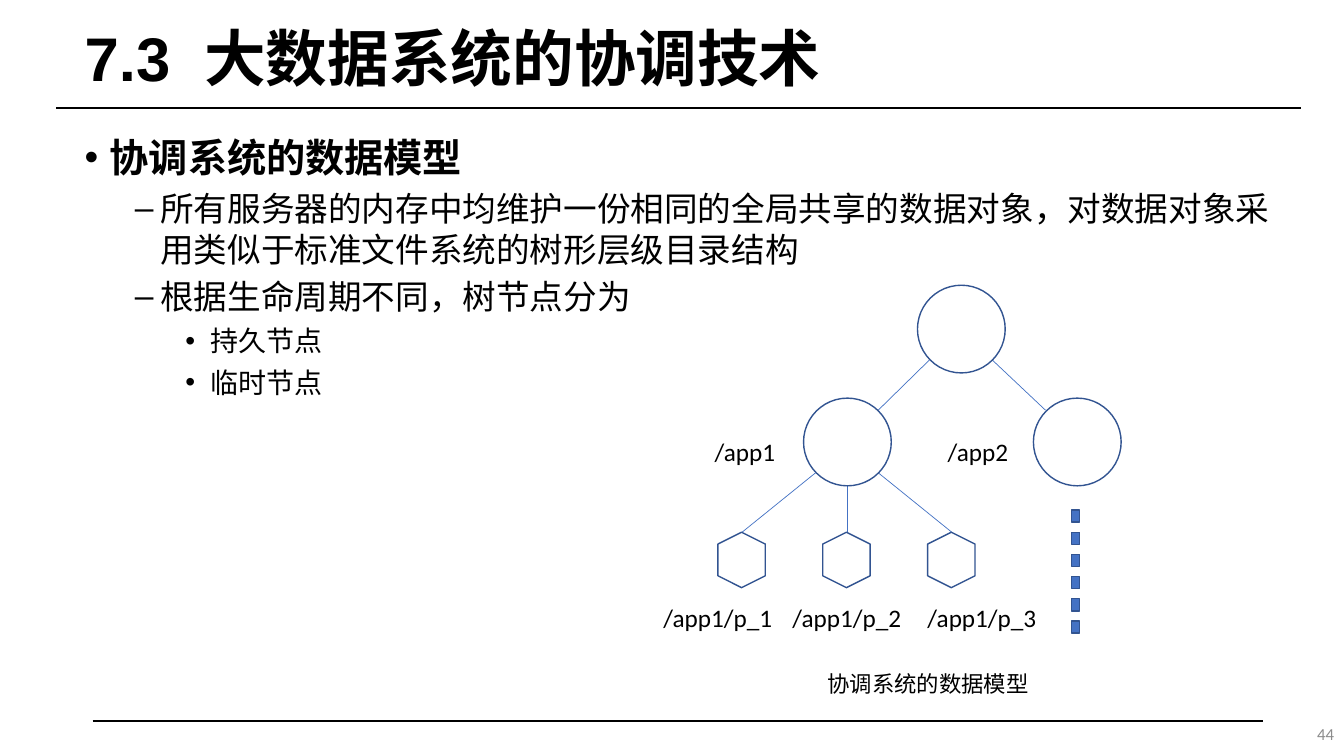
from lxml import etree
from pptx import Presentation
from pptx import util as u
from pptx.dml.color import RGBColor
from pptx.enum import shapes, text
from pptx.oxml.ns import qn

PX = 9144  # 100 px to the inch
COLORS = {"black": "000000", "blue": "4472C4", "edge": "325491", "grey": "8C8C8C"}
CJK = "Noto Sans CJK SC"


def write(p, words, size, font="Calibri", color="black", bold=False, leading=None, gap=None):
    r = p.add_run()
    r.text = words
    r.font.size, r.font.bold = u.Pt(size), bold
    r.font.color.rgb = RGBColor.from_string(COLORS[color])
    r.font.name = font
    rPr = r._r.get_or_add_rPr()
    etree.SubElement(rPr, qn("a:ea")).set("typeface", CJK)
    if gap:
        rPr.set("spc", str(gap * 100))
    if leading:
        p.line_spacing = u.Pt(leading)


def line(x1, y1, x2, y2, color, width):
    c = s.shapes.add_connector(shapes.MSO_CONNECTOR.STRAIGHT, *(v * PX for v in (x1, y1, x2, y2)))
    c.line.color.rgb = RGBColor.from_string(COLORS[color])
    c.line.width = u.Pt(width)
    etree.SubElement(c._element.spPr, qn("a:effectLst"))


prs = Presentation()
prs.slide_width, prs.slide_height = 1333 * PX, 750 * PX
s = prs.slides.add_slide(prs.slide_layouts[5])

# Rules above and below the content
line(56, 107, 1290, 107, "black", 1.75)
line(92, 715, 1253, 715, "black", 1.25)

# Title
sp = s.shapes.title
sp.left, sp.top, sp.width, sp.height = 74 * PX, 15 * PX, 1195 * PX, 92 * PX
tf = sp.text_frame
tf.auto_size = text.MSO_AUTO_SIZE.NONE
tf.vertical_anchor = text.MSO_ANCHOR.MIDDLE
p = tf.paragraphs[0]
p.alignment, p.line_spacing = text.PP_ALIGN.LEFT, 0.9
for words, gap in (("7.3", None), (" ", 12), ("大数据系统的协调技术", None)):
    write(p, words, 44, font="Arial", bold=True, gap=gap)

# Bulleted body: level, text
levels = [  # size, leading, space before, left margin, bullet
    (28, 34, 10, 25, "•"),
    (24, 29, 5, 75, "–"),
    (20, 24.4, 5, 125, "•"),
]
body = [
    (0, "协调系统的数据模型"),
    (1, "所有服务器的内存中均维护一份相同的全局共享的数据对象，对数据对象采用类似于标准文件系统的树形层级目录结构"),
    (1, "根据生命周期不同，树节点分为"),
    (2, "持久节点"),
    (2, "临时节点"),
]
tf = s.shapes.add_textbox(74 * PX, 127 * PX, 1195 * PX, 549 * PX).text_frame
tf.word_wrap = True
for i, (level, words) in enumerate(body):
    p = tf.add_paragraph() if i else tf.paragraphs[0]
    size, leading, before, margin, bullet = levels[level]
    p.level, p.space_before = level, u.Pt(before)
    write(p, words, size, bold=level == 0, leading=leading)
    pPr = p._p.get_or_add_pPr()
    pPr.set("marL", str(margin * PX))
    pPr.set("indent", str(-25 * PX))
    etree.SubElement(pPr, qn("a:buFont")).set("typeface", "Arial")
    etree.SubElement(pPr, qn("a:buChar")).set("char", bullet)

# Tree edges: root to apps, app1 to its children
root, app1, app2 = (953, 326), (840, 438), (1068, 438)
leaf_xs = [736, 840, 944]
diag = 31  # 45 degree offset on a circle of radius 44
for side, app in ((-1, app1), (1, app2)):
    line(root[0] + side * diag, root[1] + diag, app[0] - side * diag, app[1] - diag, "blue", 0.5)
for side, x in zip((-1, 0, 1), leaf_xs):
    line(app1[0] + side * diag, app1[1] + (diag if side else 44), x, 528, "blue", 0.5)

# Tree nodes and the dotted continuation: preset, left, top, width, height, turn, fill
kinds = shapes.MSO_SHAPE
nodes = [(kinds.OVAL, x - 43, y - 43, 87, 87, 0, None) for x, y in (root, app1, app2)]
nodes += [(kinds.HEXAGON, x - 28, 532, 55, 47, 90, None) for x in leaf_xs]
nodes += [(kinds.RECTANGLE, 1063, 506 + 22 * i, 8, 12, 0, "blue") for i in range(6)]
for kind, x, y, w, h, turn, fill in nodes:
    sp = s.shapes.add_shape(kind, x * PX, y * PX, w * PX, h * PX)
    sp.rotation = turn
    sp.shadow.inherit = False
    sp.line.color.rgb = RGBColor.from_string(COLORS["edge"])
    sp.line.width = u.Pt(1)
    if fill:
        sp.fill.solid()
        sp.fill.fore_color.rgb = RGBColor.from_string(COLORS[fill])
    else:
        sp.fill.background()

# Node labels and caption
labels = [
    ("/app1", 699, 428, 80, 40, 18, "Calibri", None),
    ("/app2", 930, 428, 80, 40, 18, "Calibri", None),
    ("/app1/p_1", 648, 593, 128, 40, 18, "Calibri", None),
    ("/app1/p_2", 776, 593, 128, 40, 18, "Calibri", None),
    ("/app1/p_3", 910, 593, 128, 40, 18, "Calibri", None),
    ("协调系统的数据模型", 811, 660, 228, 37, 16, CJK, 19.4),
]
for words, x, y, w, h, size, font, leading in labels:
    tf = s.shapes.add_textbox(x * PX, y * PX, w * PX, h * PX).text_frame
    tf.word_wrap = False
    tf.auto_size = text.MSO_AUTO_SIZE.SHAPE_TO_FIT_TEXT
    write(tf.paragraphs[0], words, size, font=font, leading=leading)

# Slide number
tf = s.shapes.add_textbox(1033 * PX, 708 * PX, 300 * PX, 40 * PX).text_frame
tf.word_wrap = True
tf.vertical_anchor = text.MSO_ANCHOR.MIDDLE
p = tf.paragraphs[0]
p.alignment = text.PP_ALIGN.RIGHT
write(p, "44", 12, color="grey")

prs.save("out.pptx")
